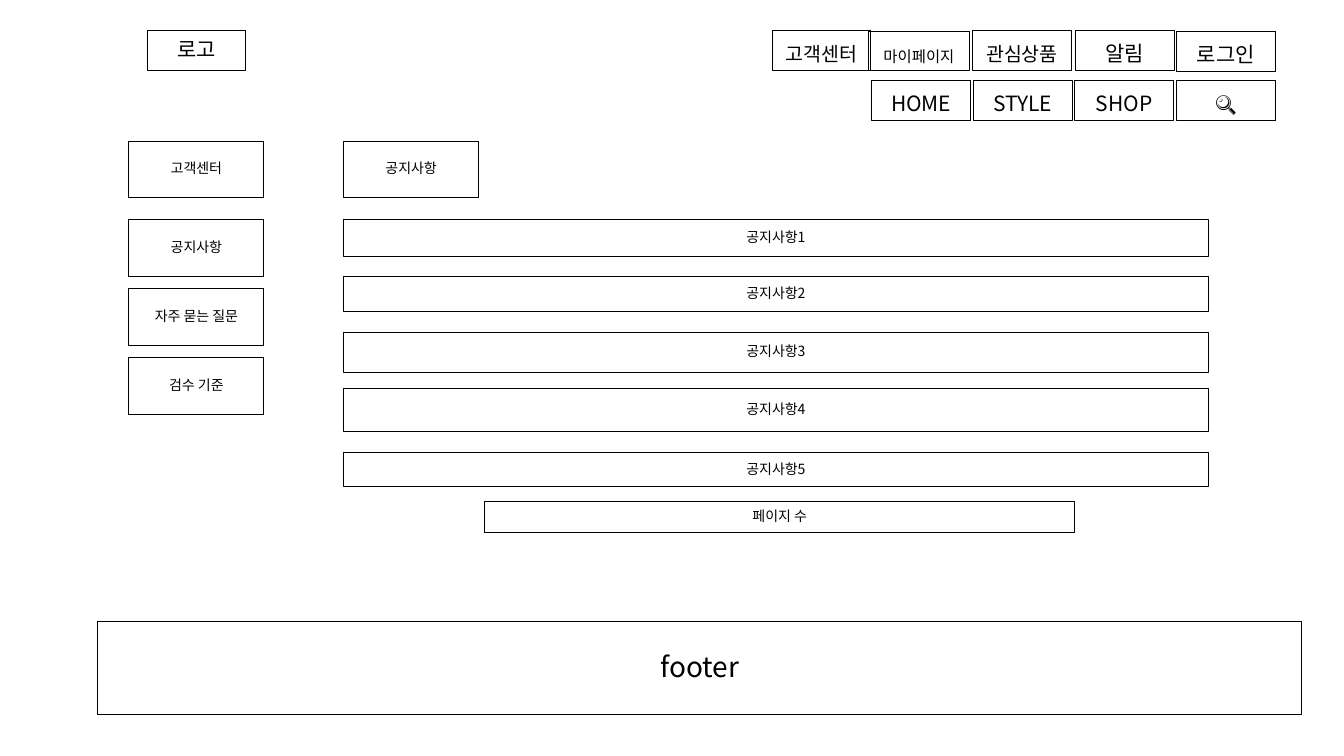
from dataclasses import dataclass

from lxml.etree import SubElement
from pptx import Presentation
from pptx.dml.color import RGBColor
from pptx.enum.shapes import MSO_SHAPE
from pptx.enum.text import MSO_ANCHOR, MSO_AUTO_SIZE, PP_ALIGN
from pptx.oxml.ns import qn
from pptx.util import Cm, Pt


@dataclass(frozen=True)
class Theme:
    """Colours, font and type sizes of the wireframe."""

    ink: RGBColor = RGBColor(0, 0, 0)
    font: str = "Noto Sans CJK KR"
    outline: float = 0.75
    line_spacing: float = 0.9
    small: float = 10
    compact: float = 11
    medium: float = 13.9
    large: float = 15
    footer: float = 20


def write_text(box, text, *, theme, size, anchor):
    """Put one centred, formatted line of text in a box."""
    frame = box.text_frame
    frame.word_wrap = True
    frame.auto_size = MSO_AUTO_SIZE.NONE
    frame.vertical_anchor = anchor
    para = frame.paragraphs[0]
    para.alignment = PP_ALIGN.CENTER
    para.line_spacing = theme.line_spacing
    span = para.add_run()
    span.text = text
    span.font.size = Pt(size)
    span.font.color.rgb = theme.ink
    span.font.name = theme.font
    east_asian = SubElement(span.font._element, qn("a:ea"))
    east_asian.set("typeface", theme.font)


class Wireframe:
    """Draws outlined boxes on the current page in one style."""

    def __init__(self, page, theme):
        self.page = page
        self.theme = theme

    def finish(self, box, text, size, anchor):
        """Outline a box and label it."""
        box.fill.background()
        box.line.color.rgb = self.theme.ink
        box.line.width = Pt(self.theme.outline)
        write_text(box, text, theme=self.theme, size=size, anchor=anchor)

    def title(self, text, left, top, width, height, size):
        """Move the title placeholder into place and format it."""
        box = self.page.shapes.title
        box.left, box.top = Cm(left), Cm(top)
        box.width, box.height = Cm(width), Cm(height)
        self.finish(box, text, size, MSO_ANCHOR.MIDDLE)

    def box(self, text, left, top, width, height, size, anchor=MSO_ANCHOR.MIDDLE):
        """Add a labelled rectangle."""
        box = self.page.shapes.add_shape(
            MSO_SHAPE.RECTANGLE, Cm(left), Cm(top), Cm(width), Cm(height)
        )
        box.shadow.inherit = False
        self.finish(box, text, size, anchor)

    def button(self, text, left, top, size, width=2.49, height=1.02):
        """Add a header button with its text at the bottom."""
        self.box(text, left, top, width, height, size, MSO_ANCHOR.BOTTOM)


def main():
    """Build the notice page wireframe."""
    deck = Presentation()
    deck.slide_width, deck.slide_height = Cm(33.87), Cm(19.05)
    theme = Theme()
    wireframe = Wireframe(deck.slides.add_slide(deck.slide_layouts[5]), theme)

    header_top, menu_top = 0.76, 2.03
    menu_left, menu_pitch = 21.97, 2.56
    wireframe.box("로고", 3.71, header_top, 2.49, 1.02, theme.large)
    wireframe.button("관심상품", 24.51, header_top, theme.medium)
    wireframe.button("마이페이지", 21.89, 0.79, theme.compact, 2.54, 0.99)
    wireframe.button("알림", 27.1, header_top, theme.large)
    wireframe.button("고객센터", 19.46, header_top, theme.medium)
    wireframe.button("로그인", 29.65, 0.79, theme.large)
    for column, label in enumerate(("HOME", "STYLE", "SHOP", "🔍")):
        wireframe.button(label, menu_left + column * menu_pitch, menu_top, theme.large)

    side_left, content_left = 3.25, 8.66
    heading_top, list_top = 3.56, 5.54
    label_width, label_height, side_pitch = 3.4, 1.42, 1.74
    wireframe.box("고객센터", side_left, heading_top, label_width, label_height, theme.small)
    for row, label in enumerate(("공지사항", "자주 묻는 질문", "검수 기준")):
        wireframe.box(
            label, side_left, list_top + row * side_pitch,
            label_width, label_height, theme.small,
        )

    wireframe.title("공지사항", content_left, heading_top, label_width, label_height, theme.small)
    notice_rows = ((list_top, 0.93), (6.96, 0.88), (8.38, 1), (9.78, 1.1), (11.4, 0.87))
    for number, (top, height) in enumerate(notice_rows, start=1):
        wireframe.box(f"공지사항{number}", content_left, top, 21.79, height, theme.small)

    wireframe.box("footer", 2.46, 15.67, 30.35, 2.34, theme.footer)
    wireframe.box("페이지 수", 12.22, 12.65, 14.86, 0.76, theme.small)
    deck.save("out.pptx")


if __name__ == "__main__":
    main()
